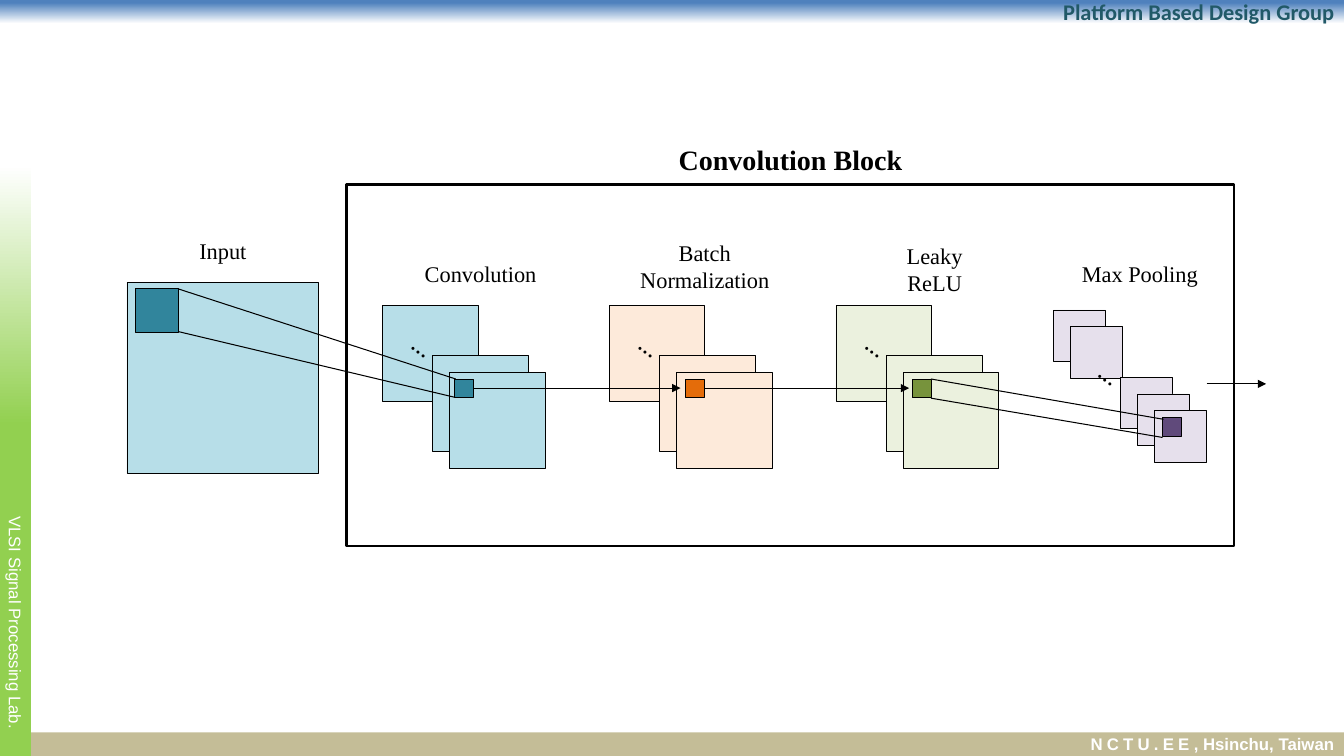
from pptx import Presentation, util as u
from pptx.dml.color import RGBColor
from pptx.enum import shapes, text
from pptx.oxml.ns import qn

theme = {
    "ink": "000000", "white": "FFFFFF", "blue": "4F81BD", "lime": "92D050",
    "sand": "C4BD97", "navy": "215968",
    "aqua": ("B7DEE8", "31859C"), "peach": ("FDEADA", "E46C0A"),
    "leaf": ("EBF1DE", "77933C"), "plum": ("E6E0EC", "604A7B"),
    "serif": "Times New Roman", "sans": "Arial", "head": "Calibri",
    "small": 12, "label": 16, "dots": 18, "title": 20,
}
ink = theme["ink"]

# Slide as a grid of 80 columns by 45 rows
deck = Presentation()
deck.slide_width, deck.slide_height = u.Inches(13.33), u.Inches(7.5)
unit = deck.slide_height / 45
slide = deck.slides.add_slide(deck.slide_layouts[6])


def box(x, y, w, h, fill=None, line=None, stops=None, angle=0):
    shape = slide.shapes.add_shape(shapes.MSO_SHAPE.RECTANGLE,
                                   *(round(n * unit) for n in (x, y, w, h)))
    shape.shadow.inherit = False
    if stops:
        shape.fill.gradient()
        shape.fill.gradient_angle = angle
        for stop, (place, color) in zip(shape.fill.gradient_stops, stops):
            stop.position = place
            stop.color.rgb = RGBColor.from_string(color)
    elif fill:
        shape.fill.solid()
        shape.fill.fore_color.rgb = RGBColor.from_string(fill)
    else:
        shape.fill.background()
    if line:
        shape.line.color.rgb = RGBColor.from_string(ink)
        shape.line.width = u.Pt(line)
    else:
        shape.line.fill.background()
    return shape


def write(shape, *runs, font=theme["serif"], size=theme["label"], color=ink,
          bold=False, align="CENTER", anchor="TOP", pad=(0, 0.3, 0, 0.3),
          wrap=True, gaps=()):
    frame = shape.text_frame
    frame.word_wrap = wrap
    frame.vertical_anchor = getattr(text.MSO_ANCHOR, anchor)
    (frame.margin_left, frame.margin_top, frame.margin_right,
     frame.margin_bottom) = (round(n * unit) for n in pad)
    for i, words in enumerate(runs):
        new = i and not gaps
        para = frame.add_paragraph() if new else frame.paragraphs[0]
        para.alignment = getattr(text.PP_ALIGN, align)
        run = para.add_run()
        run.text = words
        run.font.name, run.font.size, run.font.bold = font, u.Pt(size), bold
        run.font.color.rgb = RGBColor.from_string(color)
        if gaps:
            run.font._element.set("spc", str(gaps[i] * 100))


# Page bands
top = box(0, 0, 80, 1.4, angle=270,
          stops=((0.12, theme["blue"]), (1, theme["white"])))
write(top, "Platform Based Design Group", font=theme["head"], bold=True,
      color=theme["navy"], align="RIGHT", anchor="MIDDLE", pad=(0.6, 0, 0.6, 0))
foot = box(0, 43.6, 80, 1.4, theme["sand"])
write(foot, "NCTU.EE", ", Hsinchu, Taiwan", font=theme["sans"], bold=True,
      size=theme["small"], color=theme["white"], align="RIGHT",
      anchor="MIDDLE", pad=(0.6, 0, 0.6, 0), gaps=(3, 0))
side = box(0, 9.84, 1.86, 35.16, angle=90,
           stops=((0.56, theme["lime"]), (1, theme["white"])))
write(side, "VLSI Signal Processing Lab.", font=theme["sans"],
      size=theme["small"], color=theme["white"], anchor="MIDDLE",
      pad=(0.6, 19.86, 0.6, 0.3))
side.text_frame._txBody.bodyPr.set("vert", "vert")

# Input map and its patch
pale, deep = theme["aqua"]
box(7.56, 16.8, 11.4, 11.4, pale, 0.5)
box(8.04, 17.16, 2.6, 2.6, deep, 0.5)

# Stacks: left, top, card size, card steps, dots offset, cell offset, hue
stacks = [(22.74 + 13.5 * i, 18.18, 5.7, (0, 3, 4), (1.26, 1.2), cell, hue)
          for i, (cell, hue) in enumerate(
              ((4.32, "aqua"), (4.56, "peach"), (4.56, "leaf")))]
stacks.append((62.7, 18.45, 3.08, (0, 1, 4, 5, 6), (2.16, 2.6), 6.48, "plum"))
for x, y, size, steps, dots, cell, hue in stacks:
    pale, deep = theme[hue]
    for step in steps:
        box(x + step, y + step, size, size, pale, 0.5)
    mark = box(x + dots[0], y + dots[1], 2.4, 2.4)
    mark.rotation = 36.7
    write(mark, "…", font=theme["head"], size=theme["dots"], wrap=False)
    box(x + cell, y + steps[-1] + 0.4, 1.1, 1.1, deep, 0.5)

# Block frame
box(20.62, 11, 52.82, 21.5, line=2)

# Projection lines and arrows
lines = [
    (10.62, 17.2, 27.12, 22.56, False), (10.62, 19.74, 27.06, 23.65, False),
    (55.4, 22.56, 69.24, 24.96, False), (55.4, 23.7, 69.18, 26.04, False),
    (28.2, 23.1, 40.5, 23.1, True), (41.9, 23.1, 54.1, 23.1, True),
    (71.8, 22.85, 75.35, 22.85, True),
]
for *ends, arrow in lines:
    link = slide.shapes.add_connector(shapes.MSO_CONNECTOR.STRAIGHT,
                                      *(round(n * unit) for n in ends))
    link.line.color.rgb = RGBColor.from_string(ink)
    link.line.width = u.Pt(0.75)
    props = link._element.spPr
    if arrow:
        tail = link.line._ln.makeelement(qn("a:tailEnd"), {"type": "triangle"})
        link.line._ln.append(tail)
    props.append(props.makeelement(qn("a:effectLst"), {}))

# Labels: centre, top, lines
labels = [
    (13.26, 13.8, ["Input"]), (28.6, 15.2, ["Convolution"]),
    (41.94, 13.92, ["Batch", "Normalization"]),
    (55.62, 14.1, ["Leaky", "ReLU"]), (67.83, 15.2, ["Max Pooling"]),
]
for mid, y, words in labels:
    write(box(mid - 5, y, 10, 0.6 + 1.6 * len(words)), *words)
write(box(39.04, 8.2, 16, 2.64), "Convolution Block",
      size=theme["title"], bold=True)

deck.save("out.pptx")
